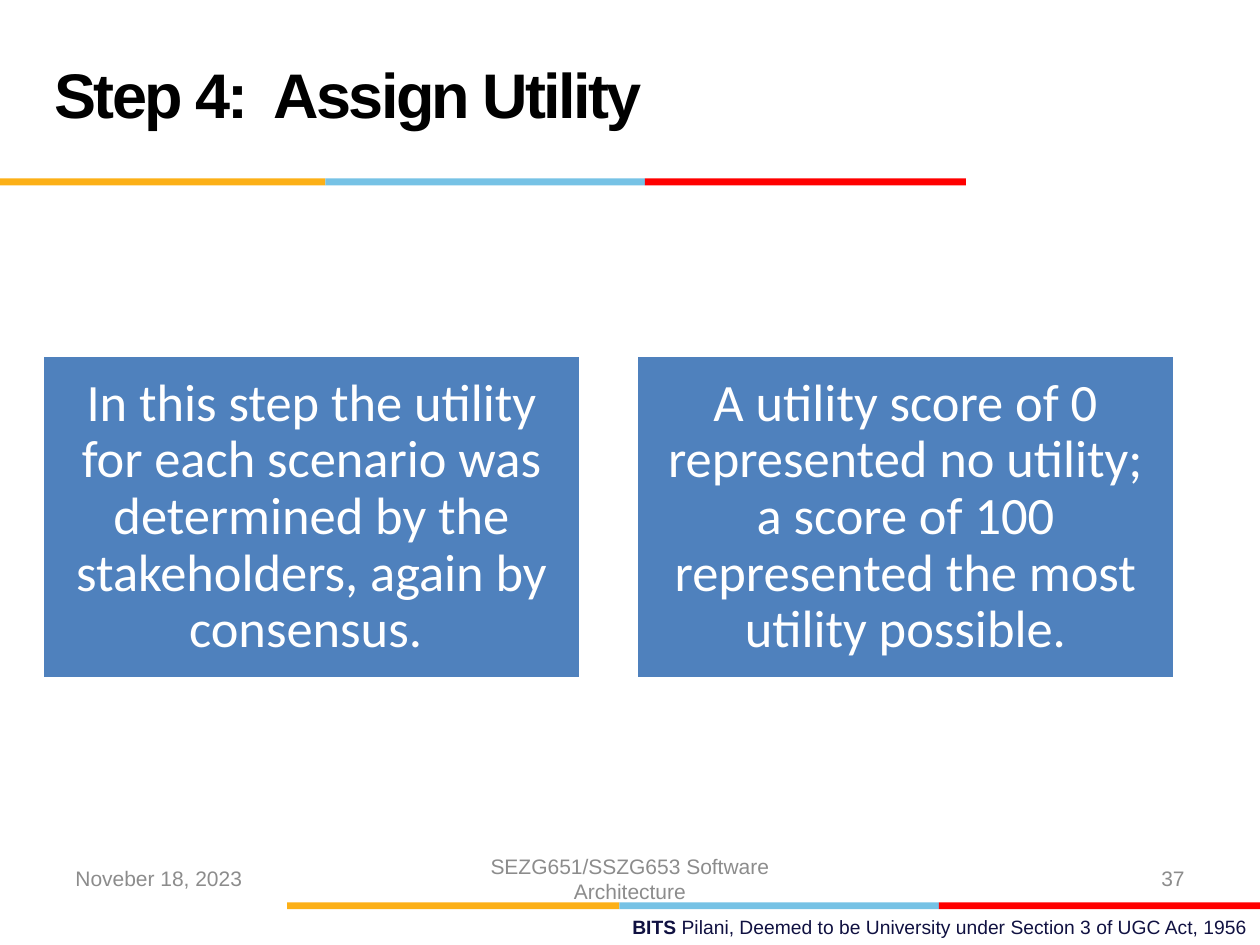
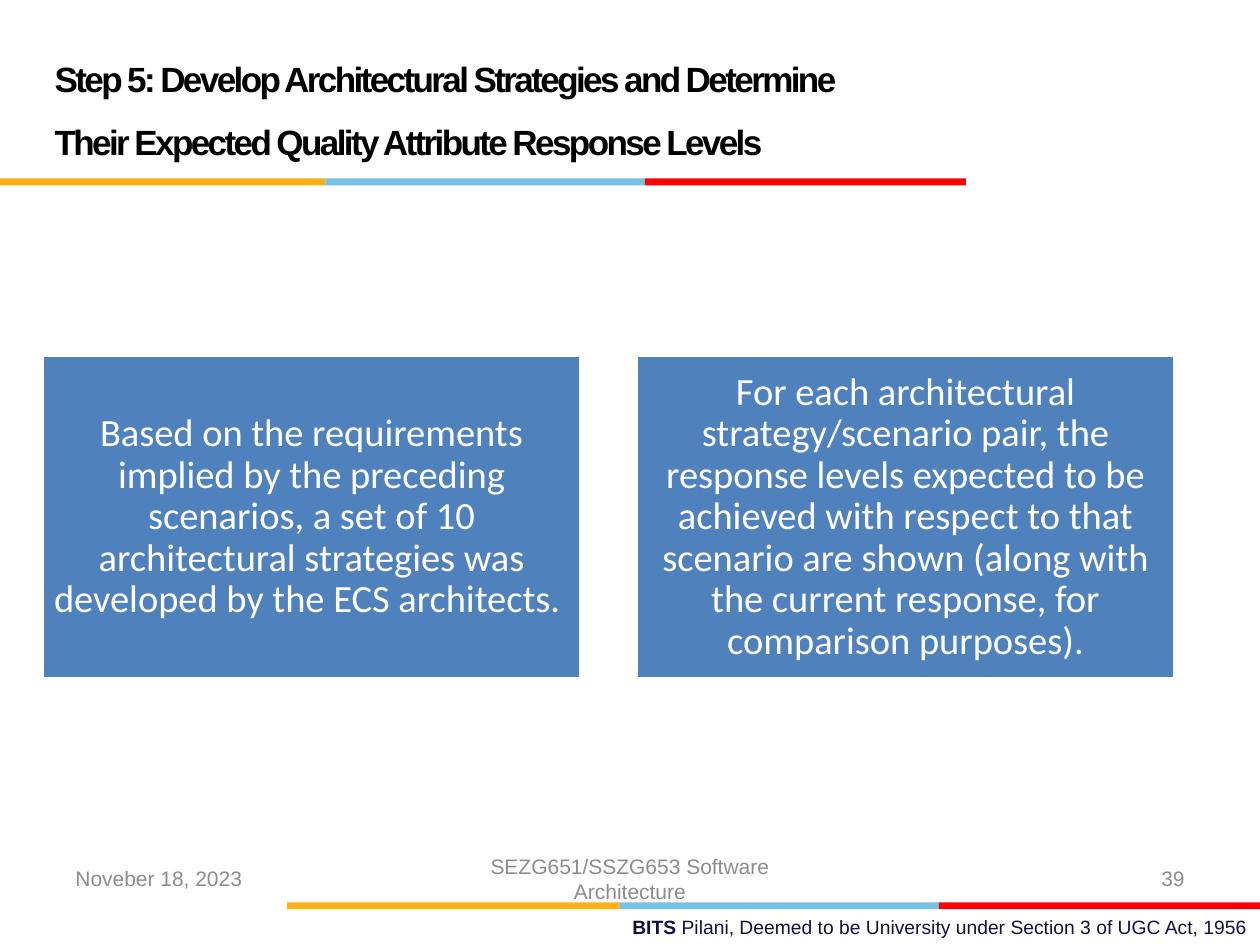
from itertools import pairwise
from pptx import Presentation
from pptx.dml.color import RGBColor
from pptx.enum.shapes import MSO_SHAPE
from pptx.enum.text import MSO_ANCHOR, MSO_AUTO_SIZE, PP_ALIGN
from pptx.util import Pt

BANDS = ("FCB017", "76C2E5", "FF0000")
BLACK, WHITE, GREY, NAVY, BLUE = "000000", "FFFFFF", "8C8C8C", "101141", "4F81BD"
LEFT, MID, RIGHT = PP_ALIGN.LEFT, PP_ALIGN.CENTER, PP_ALIGN.RIGHT

SLIDES = (
    ("Step 4:  Assign Utility", 36, "37", 30, 8.4, (
        "In this step the utility for each scenario was determined by the "
        "stakeholders, again by consensus. ",
        "A utility score of 0 represented no utility; a score of 100 "
        "represented the most utility possible.")),
    ("Step 5: Develop Architectural Strategies and Determine Their Expected "
     "Quality Attribute Response Levels", 20, "39", 22, 6.2, (
        "Based on the requirements implied by the preceding scenarios, a set of "
        "10 architectural strategies was developed by the ECS architects. ",
        "For each architectural strategy/scenario pair, the response levels "
        "expected to be achieved with respect to that scenario are shown (along "
        "with the current response, for comparison purposes).")),
)


def tint(code):
    return RGBColor.from_string(code)


def style(para, size, color, align, face="Arial", bold=False):
    para.alignment = align
    for run in para.runs:
        font = run.font
        font.name, font.size, font.bold = face, Pt(size), bold
        font.color.rgb = tint(color)


def box(slide, left, top, width, height, color):
    shape = slide.shapes.add_shape(
        MSO_SHAPE.RECTANGLE, Pt(left), Pt(top), Pt(width), Pt(height))
    shape.shadow.inherit = False
    shape.fill.solid()
    shape.fill.fore_color.rgb = tint(color)
    shape.line.fill.background()
    return shape


def band(slide, top, edges):
    for (start, end), color in zip(pairwise(edges), BANDS):
        box(slide, start, top, end - start, 4, color)


def label(slide, text, left, top, width, height, align,
          size=12, color=GREY, anchor=MSO_ANCHOR.MIDDLE):
    frame = slide.shapes.add_textbox(
        Pt(left), Pt(top), Pt(width), Pt(height)).text_frame
    frame.word_wrap = True
    frame.vertical_anchor = anchor
    frame.text = text
    style(frame.paragraphs[0], size, color, align)
    return frame.paragraphs[0]


def title(slide, text, size):
    head = slide.shapes.title
    head.left, head.top, head.width, head.height = Pt(24), Pt(12), Pt(498), Pt(90)
    frame = head.text_frame
    frame.text = text
    frame.word_wrap = True
    frame.auto_size = MSO_AUTO_SIZE.NONE
    frame.vertical_anchor = MSO_ANCHOR.MIDDLE
    para = frame.paragraphs[0]
    para.line_spacing = Pt(36)
    style(para, size, BLACK, LEFT, bold=True)
    para.runs[0].font._element.set("spc", "-150")


def card(slide, text, left, size, inset):
    shape = box(slide, left, 203.2, 308, 185, BLUE)
    shape.line.color.rgb = tint(WHITE)
    shape.line.width = Pt(2)
    frame = shape.text_frame
    frame.word_wrap = True
    frame.vertical_anchor = MSO_ANCHOR.MIDDLE
    frame.margin_left = frame.margin_right = Pt(inset)
    frame.margin_top = frame.margin_bottom = Pt(inset)
    frame.text = text
    para = frame.paragraphs[0]
    para.line_spacing = 0.9
    style(para, size, WHITE, MID, "Calibri")


def footer(slide, number):
    band(slide, 515.6, (164, 354, 536.6, 720))
    label(slide, "Noveber 18, 2023", 36, 487.5, 168, 28.75, LEFT)
    label(slide, "SEZG651/SSZG653 Software Architecture",
          246, 487.5, 228, 28.75, MID)
    label(slide, number, 516, 487.5, 168, 28.75, RIGHT)
    para = label(slide, "BITS ", 258, 519.4, 462, 20.6, RIGHT, 11, NAVY,
                 MSO_ANCHOR.TOP)
    para.add_run().text = ("Pilani, Deemed to be University under "
                           "Section 3 of UGC Act, 1956")
    style(para, 11, NAVY, RIGHT)
    para.runs[0].font.bold = True


def main():
    deck = Presentation()
    deck.slide_width, deck.slide_height = Pt(720), Pt(540)
    for head, size, number, body, inset, texts in SLIDES:
        slide = deck.slides.add_slide(deck.slide_layouts[5])
        title(slide, head, size)
        band(slide, 102, (0, 186, 368.6, 552))
        for index, text in enumerate(texts):
            card(slide, text, 24.1 + 339.4 * index, body, inset)
        footer(slide, number)
    deck.save("out.pptx")


if __name__ == "__main__":
    main()
